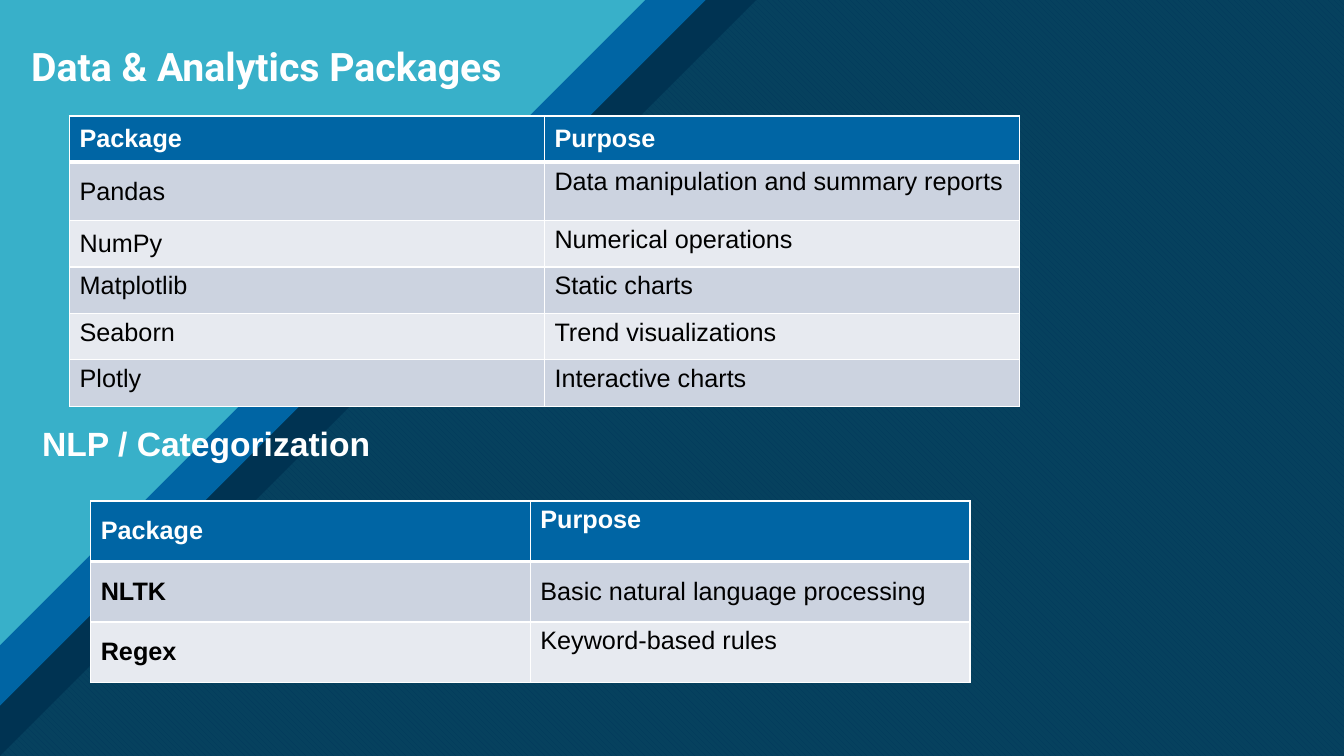
from lxml.etree import SubElement
from pptx import Presentation
from pptx.dml.color import RGBColor
from pptx.enum.dml import MSO_PATTERN as Pattern
from pptx.enum.shapes import MSO_SHAPE as Shape
from pptx.enum.text import MSO_ANCHOR as Anchor
from pptx.oxml.ns import qn
from pptx.util import Inches, Pt

WHITE = RGBColor(0xFF, 0xFF, 0xFF)
BLACK = RGBColor(0x00, 0x00, 0x00)
NAVY = RGBColor(0x00, 0x33, 0x52)
BLUE = RGBColor(0x00, 0x65, 0xA4)
CYAN = RGBColor(0x47, 0xC3, 0xD3)
ROW_DARK = RGBColor(0xCC, 0xD3, 0xE0)
ROW_LIGHT = RGBColor(0xE7, 0xEA, 0xF0)

HEAD = ("Package", "Purpose")
DATA_ROWS = [
    HEAD,
    ("Pandas", "Data manipulation and summary reports"),
    ("NumPy", "Numerical operations"),
    ("Matplotlib", "Static charts"),
    ("Seaborn", "Trend visualizations"),
    ("Plotly", "Interactive charts"),
]
NLP_ROWS = [
    HEAD,
    ("NLTK", "Basic natural language processing"),
    ("Regex", "Keyword-based rules"),
]


def style(font, color, **values):
    for name, value in values.items():
        setattr(font, name, value)
    font.color.rgb = color


def paint(shape, color, alpha=100):
    """Fill a shape plainly, without line or shadow; alpha is in percent."""
    shape.shadow.inherit = False
    shape.line.fill.background()
    shape.fill.solid()
    shape.fill.fore_color.rgb = color
    if alpha < 100:
        tint = shape._element.spPr.find(qn("a:solidFill"))[0]
        SubElement(tint, qn("a:alpha"), val=str(alpha * 1000))


def backdrop(slide, box):
    """Striped dark ground with three nested corner triangles."""
    left, top, width, height = map(Inches, box)
    grounds = [slide.shapes.add_shape(Shape.RECTANGLE, left, top, width, height)
               for _ in range(2)]
    for ground, alpha in zip(grounds, (100, 90)):
        paint(ground, NAVY, alpha)
    stripes = grounds[0].fill
    stripes.patterned()
    stripes.pattern = Pattern.WIDE_DOWNWARD_DIAGONAL
    stripes.fore_color.rgb = BLUE
    stripes.back_color.rgb = CYAN

    for side, color, alpha in ((7.5, NAVY, 100), (7, BLUE, 100), (6.4, CYAN, 80)):
        leg = Inches(side)
        path = slide.shapes.build_freeform(left, top)
        path.add_line_segments([(left + leg, top), (left, top + leg)])
        paint(path.convert_to_shape(), color, alpha)


def heading(slide, box, text, font, size, wrap, anchor, space):
    frame = slide.shapes.add_textbox(*map(Inches, box)).text_frame
    frame.word_wrap = wrap
    frame.vertical_anchor = anchor
    para = frame.paragraphs[0]
    para.text = text
    para.line_spacing = space
    style(para.font, WHITE, name=font, size=Pt(size), bold=True)


def border(cell, row):
    """White rules, thick between the header and the body."""
    rules = {"L": 1, "R": 1, "T": 3 if row == 1 else 1, "B": 3 if row == 0 else 1}
    props = cell._tc.get_or_add_tcPr()
    for edge, width in rules.items():
        line = SubElement(props, qn(f"a:ln{edge}"), w=str(Pt(width)))
        fill = SubElement(line, qn("a:solidFill"))
        SubElement(fill, qn("a:srgbClr"), val=str(WHITE))


def grid(slide, box, rows, heights, middle, key_bold):
    """Two-column table; middle holds the (row, column) cells centred in height."""
    table = slide.shapes.add_table(len(rows), 2, *map(Inches, box)).table
    for column in table.columns:
        column.width = Inches(box[2] / 2)
    for r, (texts, height) in enumerate(zip(rows, heights)):
        table.rows[r].height = Inches(height)
        for c, text in enumerate(texts):
            cell = table.cell(r, c)
            border(cell, r)
            cell.fill.solid()
            cell.fill.fore_color.rgb = (
                BLUE if r == 0 else ROW_DARK if r % 2 else ROW_LIGHT)
            cell.vertical_anchor = Anchor.MIDDLE if (r, c) in middle else Anchor.TOP
            cell.text = text
            style(cell.text_frame.paragraphs[0].font, BLACK if r else WHITE,
                  name="Arial", size=Pt(18),
                  bold=r == 0 or (key_bold and c == 0))


def main():
    deck = Presentation()
    deck.slide_width, deck.slide_height = Inches(13.33), Inches(7.5)
    slide = deck.slides.add_slide(deck.slide_layouts[6])
    backdrop(slide, (0, 0, 13.33, 7.5))
    heading(slide, (0.21, 0, 5.41, 1.36), "Data & Analytics Packages",
            "Roboto", 28, True, Anchor.MIDDLE, 0.9)
    grid(slide, (0.69, 1.15, 9.42, 2.88), DATA_ROWS,
         [0.46, 0.58] + [0.46] * 4, {(0, 0), (0, 1), (1, 0), (2, 0)}, False)
    heading(slide, (0.32, 4.15, 3.48, 0.5), "NLP / Categorization",
            "Arial", 24, False, Anchor.TOP, 1.0)
    grid(slide, (0.9, 4.97, 8.72, 1.8), NLP_ROWS,
         [0.6] * 3, {(0, 0), (1, 0), (1, 1), (2, 0)}, True)
    deck.save("out.pptx")


if __name__ == "__main__":
    main()
